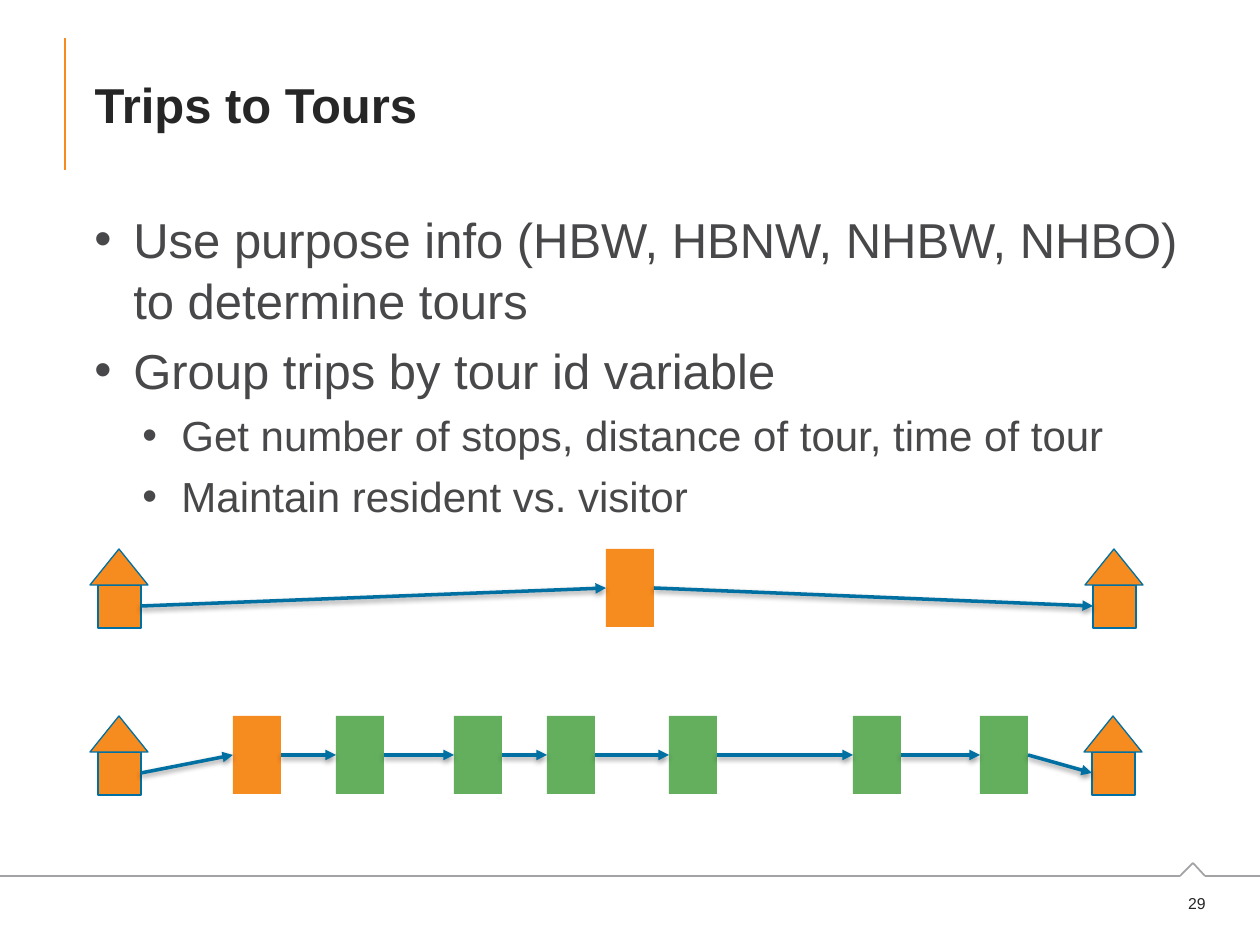
from dataclasses import dataclass
from itertools import pairwise

from lxml.etree import SubElement
from pptx import Presentation
from pptx.dml.color import RGBColor
from pptx.enum.shapes import MSO_CONNECTOR, MSO_SHAPE
from pptx.enum.text import MSO_ANCHOR, MSO_AUTO_SIZE, PP_ALIGN
from pptx.oxml import parse_xml
from pptx.oxml.ns import nsdecls, qn
from pptx.util import Pt

EMU_PER_PX = 914400 / 126


@dataclass(frozen=True)
class Theme:
    font: str = "Arial"
    orange: str = "F68B1F"
    green: str = "63AF5E"
    blue: str = "006FA1"
    gray: str = "A3A3A5"
    heading: str = "262626"
    body: str = "48484A"
    title_size: int = 28
    sub_size: int = 24
    number_size: int = 9


THEME = Theme()
SHADOW = (
    f'<a:effectLst {nsdecls("a")}><a:outerShdw blurRad="39400" dist="20300" dir="5400000" '
    'rotWithShape="0"><a:srgbClr val="000000"><a:alpha val="38000"/></a:srgbClr>'
    "</a:outerShdw></a:effectLst>"
)
NO_SHADOW = f'<a:effectLst {nsdecls("a")}/>'


def px(*lengths):
    return [round(length * EMU_PER_PX) for length in lengths]


def add_line(start, end, color, width, arrow=False):
    """Draw a straight line; an arrow also gets a head and a soft shadow."""
    connector = page.shapes.add_connector(MSO_CONNECTOR.STRAIGHT, *px(*start, *end))
    connector.line.color.rgb = RGBColor.from_string(color)
    connector.line.width = Pt(width)
    properties = connector._element.spPr
    if arrow:
        SubElement(properties.find(qn("a:ln")), qn("a:tailEnd"), type="triangle")
    properties.append(parse_xml(SHADOW if arrow else NO_SHADOW))


deck = Presentation()
deck.slide_width, deck.slide_height = px(1260, 945)
page = deck.slides.add_slide(deck.slide_layouts[5])

# Title rule and footer line with its peak
add_line((65, 38), (65, 170), THEME.orange, 1.5)
footer_points = [(0, 876), (1180, 876), (1193, 863), (1205, 876), (1260, 876)]
for start, end in pairwise(footer_points):
    add_line(start, end, THEME.gray, 1)

# Text: each paragraph is (words, level)
title = page.shapes.title
title.left, title.top, title.width, title.height = px(82, 38, 1115, 132)
body = page.shapes.add_textbox(*px(82, 200, 1115, 335))
number = page.shapes.add_textbox(*px(1165, 887, 53, 32))
bullets = [
    ("Use purpose info (HBW, HBNW, NHBW, NHBO) to determine tours", 0),
    ("Group trips by tour id variable", 0),
    ("Get number of stops, distance of tour, time of tour", 1),
    ("Maintain resident vs. visitor", 1),
]
text_blocks = [
    (title, [("Trips to Tours", None)], MSO_ANCHOR.MIDDLE, PP_ALIGN.LEFT,
     {"size": Pt(THEME.title_size), "bold": True}, THEME.heading),
    (body, bullets, MSO_ANCHOR.TOP, PP_ALIGN.LEFT,
     {"size": Pt(THEME.title_size)}, THEME.body),
    (number, [("29", None)], MSO_ANCHOR.MIDDLE, PP_ALIGN.RIGHT,
     {"size": Pt(THEME.number_size)}, THEME.heading),
]
for box, paragraphs, anchor, alignment, font_format, color in text_blocks:
    frame = box.text_frame
    frame.word_wrap = True
    frame.auto_size = MSO_AUTO_SIZE.NONE
    frame.vertical_anchor = anchor
    for index, (words, level) in enumerate(paragraphs):
        paragraph = frame.add_paragraph() if index else frame.paragraphs[0]
        paragraph.alignment = alignment
        span = paragraph.add_run()
        span.text = words
        for name, value in {"name": THEME.font, **font_format}.items():
            setattr(span.font, name, value)
        span.font.color.rgb = RGBColor.from_string(color)
        if level is None:
            continue
        paragraph.level = level
        paragraph.line_spacing = 1.05
        paragraph.space_before = Pt(4.5 if index else 0)
        if level:
            span.font.size = Pt(THEME.sub_size)
        margin, indent = px(39 + 48 * level, -39)
        settings = paragraph._p.get_or_add_pPr()
        settings.set("marL", str(margin))
        settings.set("indent", str(indent))
        SubElement(settings, qn("a:buFont"), typeface=THEME.font)
        SubElement(settings, qn("a:buChar"), char="•")

# Tours: home, stops, home again; each stop is (left, color)
ROOF_WIDTH, ROOF_HEIGHT, WALL = 58, 36, 43
WALL_INSET = 8
STOP_WIDTH, STOP_HEIGHT = 48, 78
HOME_LEFT = 90
green_stops = [(left, THEME.green) for left in (336, 454, 547, 669, 853, 980)]
tours = [
    (549, 1085, [(606, THEME.orange)]),
    (716, 1084, [(233, THEME.orange), *green_stops]),
]
for top, return_left, stops in tours:
    parts = []
    for left in (HOME_LEFT, return_left):
        parts += [
            (MSO_SHAPE.RECTANGLE, (left + WALL_INSET, top + ROOF_HEIGHT, WALL, WALL),
             THEME.orange, True),
            (MSO_SHAPE.ISOSCELES_TRIANGLE, (left, top, ROOF_WIDTH, ROOF_HEIGHT),
             THEME.orange, True),
        ]
    for left, color in stops:
        parts.append((MSO_SHAPE.RECTANGLE, (left, top, STOP_WIDTH, STOP_HEIGHT), color, False))
    for kind, bounds, color, outlined in parts:
        shape = page.shapes.add_shape(kind, *px(*bounds))
        shape.shadow.inherit = False
        shape.fill.solid()
        shape.fill.fore_color.rgb = RGBColor.from_string(color)
        if outlined:
            shape.line.color.rgb = RGBColor.from_string(THEME.blue)
            shape.line.width = Pt(0.75)
        else:
            shape.line.fill.background()

    # Every place on the tour is (left edge, right edge, height of its arrows)
    home_y, stop_y = top + 57, top + STOP_HEIGHT // 2
    places = [(left + WALL_INSET, left + WALL_INSET + WALL, home_y)
              for left in (HOME_LEFT, return_left)]
    places[1:1] = [(left, left + STOP_WIDTH, stop_y) for left, _ in stops]
    for (_, from_x, from_y), (to_x, _, to_y) in pairwise(places):
        add_line((from_x, from_y), (to_x, to_y), THEME.blue, 2, arrow=True)

deck.save("out.pptx")
